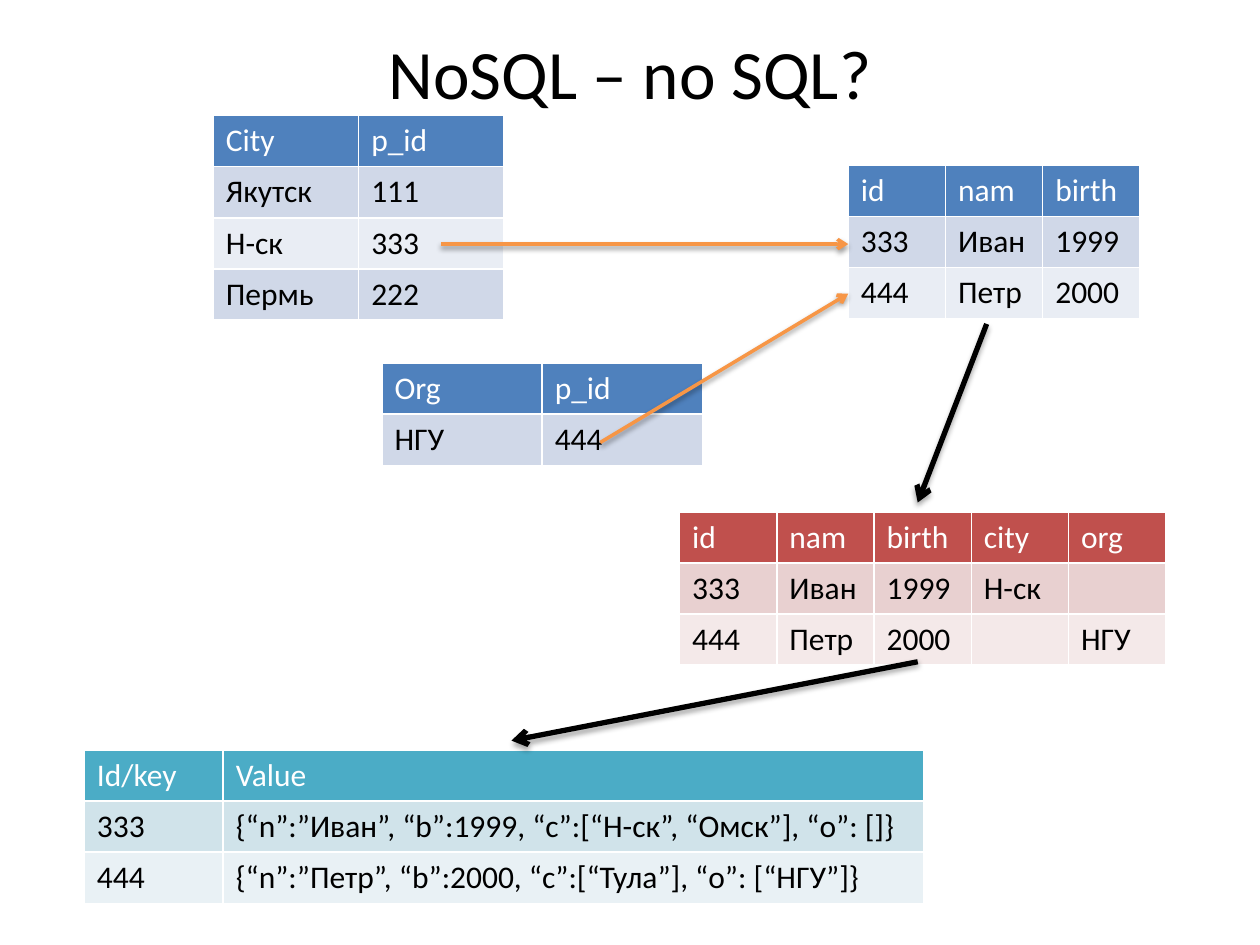
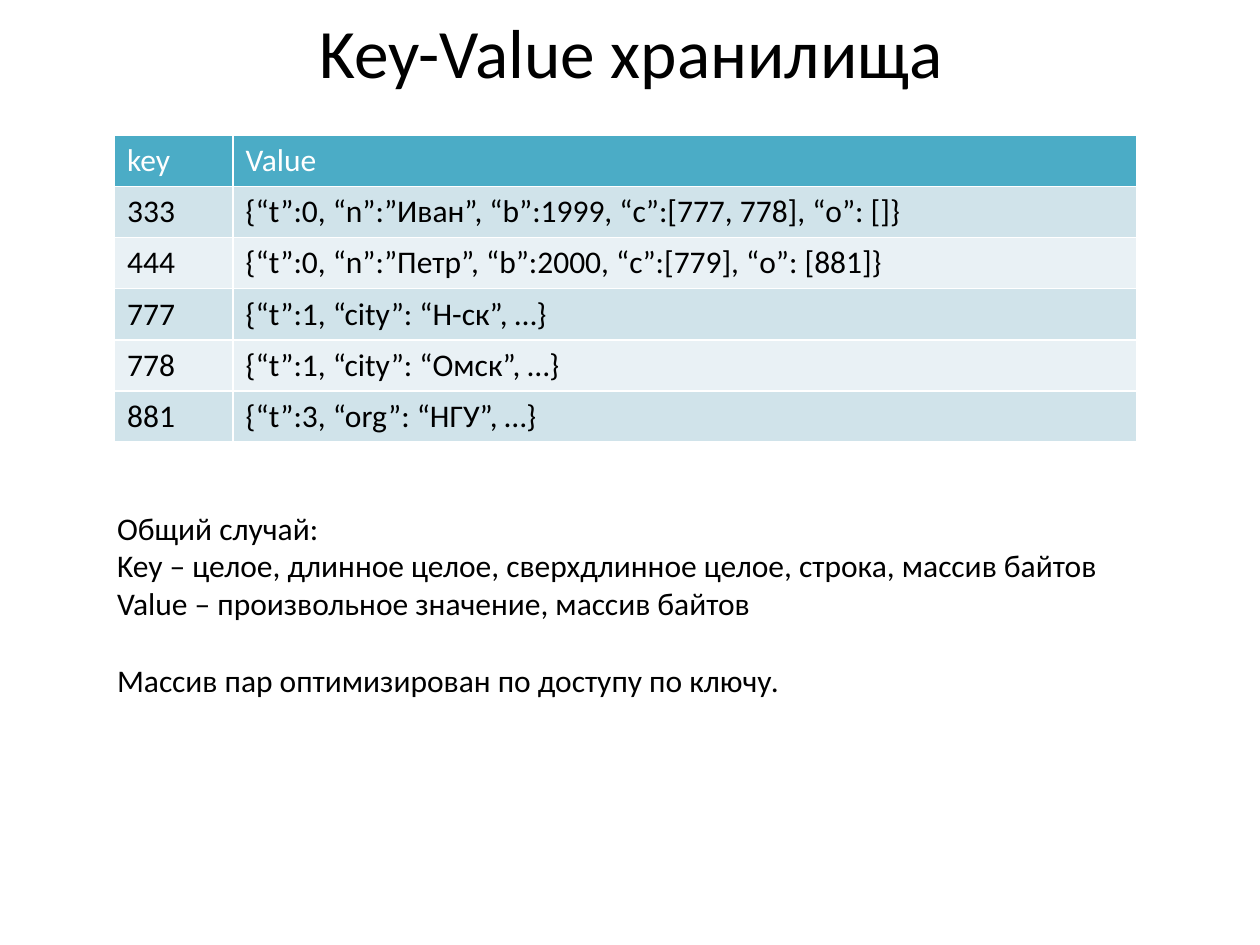
from lxml import etree
from pptx import Presentation
from pptx.dml.color import RGBColor
from pptx.enum.shapes import MSO_CONNECTOR as Link
from pptx.enum.text import MSO_ANCHOR as Anchor, PP_ALIGN as Align
from pptx.oxml.ns import qn
from pptx.util import Cm, Pt

WHITE = RGBColor(0xFF, 0xFF, 0xFF)
BLACK = RGBColor(0x00, 0x00, 0x00)
ORANGE = RGBColor(0xF7, 0x96, 0x46)
BLUES = (RGBColor(0x4F, 0x81, 0xBD), RGBColor(0xD0, 0xD8, 0xE8), RGBColor(0xE9, 0xED, 0xF4))
REDS = (RGBColor(0xC0, 0x50, 0x4D), RGBColor(0xE8, 0xD0, 0xD0), RGBColor(0xF4, 0xE9, 0xE9))
TEALS = (RGBColor(0x4B, 0xAC, 0xC6), RGBColor(0xD0, 0xE3, 0xEA), RGBColor(0xE9, 0xF1, 0xF5))

TITLE_FORMAT = {"size": Pt(39.6), "name": "Calibri", "bold": False}
BODY_FORMAT = {"size": Pt(18), "name": "Calibri", "bold": False}
ROW_HEIGHT = 1.03
NARROW = 1.96

REFERENCE_ARROW = {"color": ORANGE, "width": 2, "alpha": 38, "distance": 1.6}
STEP_ARROW = {"color": BLACK, "width": 3, "alpha": 35, "distance": 1.8}


def write(p, text, fmt, color=BLACK):
    """Write one formatted run into a paragraph."""
    r = p.add_run()
    r.text = text
    for name, value in fmt.items():
        setattr(r.font, name, value)
    r.font.color.rgb = color


def add_text_box(s, left, top, width, height):
    """Add a wrapping text box and return its text frame."""
    tf = s.shapes.add_textbox(Cm(left), Cm(top), Cm(width), Cm(height)).text_frame
    tf.word_wrap = True
    return tf


def add_title(s, text, left, top, width, height):
    """Place the centred slide title in the given box."""
    tf = add_text_box(s, left, top, width, height)
    tf.vertical_anchor = Anchor.MIDDLE
    p = tf.paragraphs[0]
    p.alignment = Align.CENTER
    write(p, text, TITLE_FORMAT)


def add_data_table(s, left, top, widths, palette, rows):
    """Place a table with a coloured header and alternating row fills."""
    header, odd, even = palette
    table = s.shapes.add_table(len(rows), len(widths), Cm(left), Cm(top),
                               Cm(sum(widths)), Cm(ROW_HEIGHT * len(rows))).table
    for column, width in zip(table.columns, widths):
        column.width = Cm(width)
    for i, values in enumerate(rows):
        table.rows[i].height = Cm(ROW_HEIGHT)
        fill = header if i == 0 else (odd if i % 2 else even)
        for cell, value in zip(table.rows[i].cells, values):
            cell.fill.solid()
            cell.fill.fore_color.rgb = fill
            if value:
                write(cell.text_frame.paragraphs[0], value, BODY_FORMAT,
                      BLACK if i else WHITE)


def add_arrow(s, start, end, color, width, alpha, distance):
    """Draw an arrow with a soft shadow below it."""
    line = s.shapes.add_connector(Link.STRAIGHT, *map(Cm, start + end))
    line.line.color.rgb = color
    line.line.width = Pt(width)
    etree.SubElement(line.line._get_or_add_ln(), qn("a:tailEnd"), type="arrow")
    effects = etree.SubElement(line._element.spPr, qn("a:effectLst"))
    shadow = etree.SubElement(effects, qn("a:outerShdw"), blurRad=str(Pt(3.1)),
                              dist=str(Pt(distance)), dir="5400000", rotWithShape="0")
    tint = etree.SubElement(shadow, qn("a:srgbClr"), val=str(BLACK))
    etree.SubElement(tint, qn("a:alpha"), val=str(alpha * 1000))


def add_notes_text(s, left, top, width, height):
    """Place the general case and a set-off conclusion."""
    tf = add_text_box(s, left, top, width, height)
    lines = ("Общий случай:",
             "Key – целое, длинное целое, сверхдлинное целое, строка, массив байтов",
             "Value – произвольное значение, массив байтов",
             "Массив пар оптимизирован по доступу по ключу.")
    for i, text in enumerate(lines):
        p = tf.add_paragraph() if i else tf.paragraphs[0]
        write(p, text, BODY_FORMAT)
    p.space_before = Pt(22)


def build_no_sql(s):
    """Show relational tables merging into one and then into key-value pairs."""
    add_title(s, "NoSQL – no SQL?", 1.27, 0.76, 22.86, 1.37)
    add_data_table(s, 17.1, 3.33, [NARROW] * 3, BLUES, [
        ("id", "nam", "birth"),
        ("333", "Иван", "1999"),
        ("444", "Петр", "2000")])
    add_data_table(s, 4.3, 2.33, [2.93] * 2, BLUES, [
        ("City", "p_id"),
        ("Якутск", "111"),
        ("Н-ск", "333"),
        ("Пермь", "222")])
    add_data_table(s, 7.7, 7.32, [3.23] * 2, BLUES, [
        ("Org", "p_id"),
        ("НГУ", "444")])
    add_arrow(s, (8.89, 4.92), (17.1, 4.92), **REFERENCE_ARROW)
    add_arrow(s, (12.1, 8.92), (17.1, 5.92), **REFERENCE_ARROW)
    add_data_table(s, 13.7, 10.32, [NARROW] * 5, REDS, [
        ("id", "nam", "birth", "city", "org"),
        ("333", "Иван", "1999", "Н-ск", ""),
        ("444", "Петр", "2000", "", "НГУ")])
    add_arrow(s, (19.89, 6.53), (18.5, 10.13), **STEP_ARROW)
    add_data_table(s, 1.7, 15.12, [2.8, 14.13], TEALS, [
        ("Id/key", "Value"),
        ("333", "{“n”:”Иван”, “b”:1999, “c”:[“Н-ск”, “Омск”], “o”: []}"),
        ("444", "{“n”:”Петр”, “b”:2000, “c”:[“Тула”], “o”: [“НГУ”]}")])
    add_arrow(s, (18.5, 13.34), (10.31, 14.93), **STEP_ARROW)


def build_key_value(s):
    """Show a key-value store and describe its keys and values."""
    add_title(s, "Key-Value хранилища", 1.3, 0.53, 22.86, 0.97)
    add_data_table(s, 2.31, 2.73, [2.39, 18.21], TEALS, [
        ("key", "Value"),
        ("333", "{“t”:0, “n”:”Иван”, “b”:1999, “c”:[777, 778], “o”: []}"),
        ("444", "{“t”:0, “n”:”Петр”, “b”:2000, “c”:[779], “o”: [881]}"),
        ("777", "{“t”:1, “city”: “Н-ск”, …}"),
        ("778", "{“t”:1, “city”: “Омск”, …}"),
        ("881", "{“t”:3, “org”: “НГУ”, …}")])
    add_notes_text(s, 2.11, 10.13, 21.59, 4.11)


def main():
    """Build the two slides and save the presentation."""
    prs = Presentation()
    prs.slide_width, prs.slide_height = Cm(25.4), Cm(19.05)
    for build in (build_no_sql, build_key_value):
        build(prs.slides.add_slide(prs.slide_layouts[6]))
    prs.save("out.pptx")


if __name__ == "__main__":
    main()
